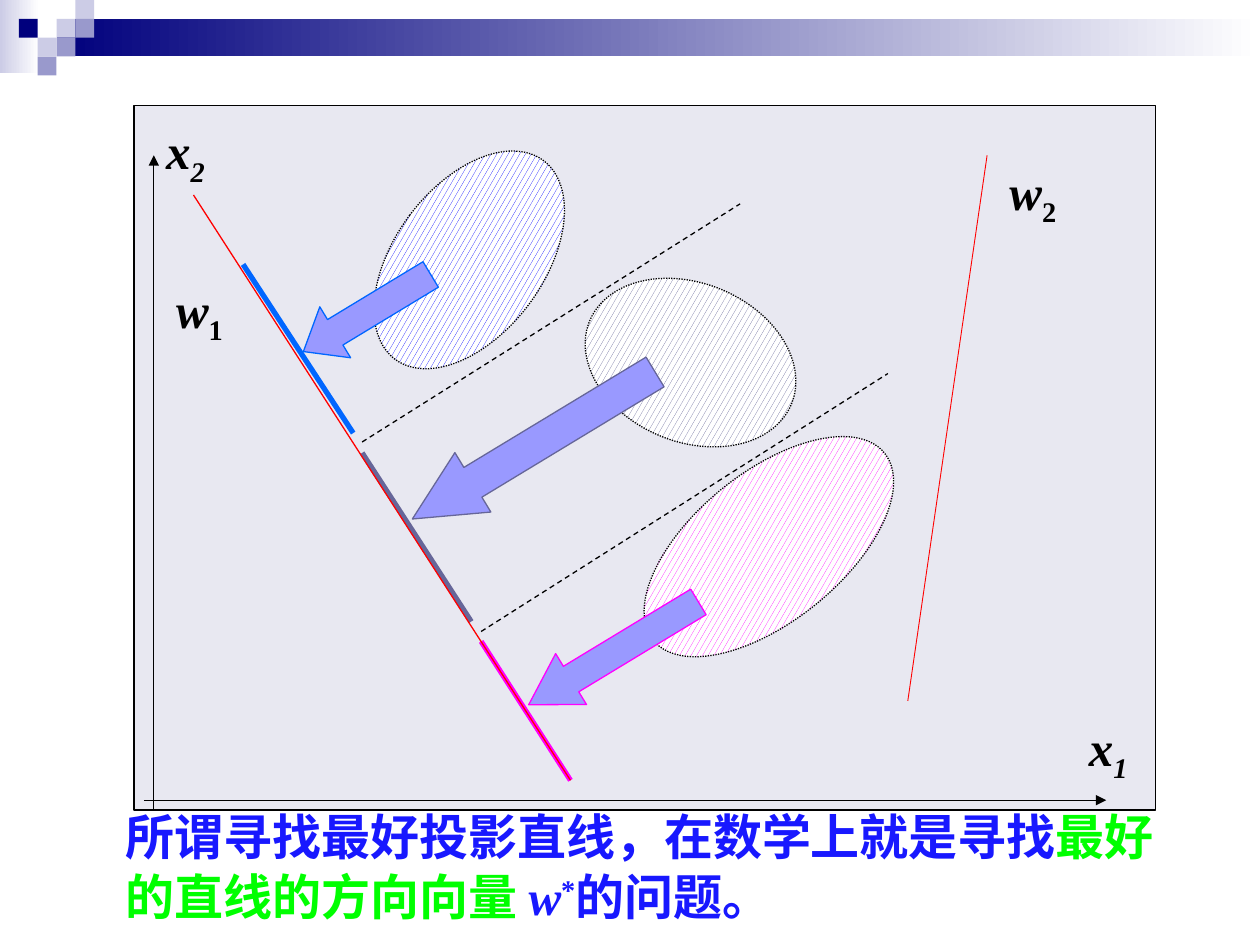
from lxml import etree
from pptx import Presentation
from pptx.dml.color import RGBColor
from pptx.enum.dml import MSO_LINE, MSO_PATTERN
from pptx.enum.shapes import MSO_CONNECTOR, MSO_SHAPE
from pptx.enum.text import MSO_AUTO_SIZE
from pptx.oxml.ns import qn
from pptx.util import Cm, Pt

RECT, OVAL, ARROW = MSO_SHAPE.RECTANGLE, MSO_SHAPE.OVAL, MSO_SHAPE.LEFT_ARROW
STRAIGHT = MSO_CONNECTOR.STRAIGHT
DASH, DOT = MSO_LINE.DASH, MSO_LINE.ROUND_DOT
CONFETTI = MSO_PATTERN.LARGE_CONFETTI
GROW = MSO_AUTO_SIZE.SHAPE_TO_FIT_TEXT
SERIF, HAN = "Times New Roman", "Noto Sans CJK SC"
BLACK, WHITE, RED = "000000", "FFFFFF", "FF0000"
NAVY, LILAC, MAUVE = "00007D", "CCCCE6", "9999CC"
SKY, SLATE, PINK = "0066FF", "666699", "FF00FF"
BLUE, GREEN = "1818FF", "00FF00"


def rgb(color):
    """Turn a hex string into a colour."""
    return RGBColor.from_string(color)


def add_shape(s, kind, x, y, w, h, fill=None, line=None, rotation=0):
    """Add a preset shape with a flat fill and an optional thin outline."""
    sp = s.shapes.add_shape(kind, Cm(x), Cm(y), Cm(w), Cm(h))
    sp.shadow.inherit = False
    sp.rotation = rotation
    if fill:
        sp.fill.solid()
        sp.fill.fore_color.rgb = rgb(fill)
    if line:
        sp.line.color.rgb = rgb(line)
        sp.line.width = Pt(0.75)
    else:
        sp.line.fill.background()
    return sp


def add_gradient(s, x, y, w, h, color):
    """Add a bar that fades to white from left to right."""
    sp = add_shape(s, RECT, x, y, w, h)
    sp.fill.gradient()
    sp.fill.gradient_angle = 0
    for stop, c in zip(sp.fill.gradient_stops, (color, WHITE)):
        stop.color.rgb = rgb(c)


def add_line(s, x1, y1, x2, y2, color, width=0.75, dash=None, arrow=False):
    """Add a straight line, dashed or with an arrowhead if asked."""
    cn = s.shapes.add_connector(STRAIGHT, Cm(x1), Cm(y1), Cm(x2), Cm(y2))
    cn.line.color.rgb = rgb(color)
    cn.line.width = Pt(width)
    if dash:
        cn.line.dash_style = dash
    if arrow:
        ln = cn.line._get_or_add_ln()
        etree.SubElement(ln, qn("a:tailEnd"), type="triangle")
    etree.SubElement(cn._element.spPr, qn("a:effectLst"))


def add_run(p, text, color=BLACK, font=SERIF, italic=False, baseline=0):
    """Add one bold run, raised or lowered by a baseline percentage."""
    r = p.add_run()
    r.text = text
    r.font.size = Pt(28)
    r.font.bold = True
    r.font.italic = italic
    r.font.name = font
    r.font.color.rgb = rgb(color)
    rPr = r._r.get_or_add_rPr()
    etree.SubElement(rPr, qn("a:ea"), typeface=HAN)
    if baseline:
        rPr.set("baseline", str(baseline * 1000))


def add_text(s, x, y, w, h, wrap):
    """Add a text box and return its first paragraph."""
    tf = s.shapes.add_textbox(Cm(x), Cm(y), Cm(w), Cm(h)).text_frame
    tf.word_wrap = wrap
    tf.auto_size = GROW
    return tf.paragraphs[0]


def add_label(s, x, y, w, letter, index, italic_index):
    """Add a variable name with its subscript."""
    p = add_text(s, x, y, w, 1.45, False)
    add_run(p, letter, italic=True)
    add_run(p, index, italic=italic_index, baseline=-25)


def add_header(s, x, y, w):
    """Draw the fading bar and its checkered squares."""
    unit = 0.38
    add_gradient(s, x, y, 0.79, 1.47, LILAC)
    add_gradient(s, x + 3 * unit, y + unit, w - 3 * unit, 2 * unit, NAVY)
    squares = [(3, 1, LILAC), (4, 0, LILAC), (4, 1, MAUVE), (2, 2, LILAC),
               (1, 1, NAVY), (3, 2, MAUVE), (2, 3, MAUVE)]
    for col, row, color in squares:
        add_shape(s, RECT, x + col * unit, y + row * unit, unit, unit, color)


def add_diagram(s, x, y, w, h):
    """Draw three clusters projected onto one of two directions."""
    add_shape(s, RECT, x, y, w, h, "E8E8F1", BLACK)
    clusters = [(5.26, 0.61, 3, 5, 36.8, "0000FF"),
                (9.02, 3.58, 4.4, 3.2, 22.3, SLATE),
                (9.8, 7.39, 6, 3, 321, PINK)]
    for dx, dy, cw, ch, rotation, color in clusters:
        sp = add_shape(s, OVAL, x + dx, y + dy, cw, ch, None, BLACK, rotation)
        sp.line.dash_style = DOT
        sp.fill.patterned()
        sp.fill.pattern = CONFETTI
        sp.fill.fore_color.rgb = rgb(color)
        sp.fill.back_color.rgb = rgb(WHITE)

    lines = [(0.2, 14, 19.6, 14, BLACK, 0.75, None, True),
             (0.4, h, 0.4, 1, BLACK, 0.75, None, True),
             (4.6, 6.78, 12.22, 1.98, BLACK, 0.75, DASH, False),
             (7, 10.6, 15.2, 5.4, BLACK, 0.75, DASH, False),
             (2.2, 3.2, 4.42, 6.6, SKY, 3, None, False),
             (4.6, 7, 6.8, 10.4, SLATE, 3, None, False),
             (7, 10.8, 8.8, 13.6, PINK, 3, None, False),
             (1.2, 1.8, 8.8, 13.6, RED, 0.75, None, False),
             (17.2, 1, 15.6, 12, RED, 0.5, None, False)]
    for x1, y1, x2, y2, *style in lines:
        add_line(s, x + x1, y + y1, x + x2, y + y2, *style)

    labels = [(19, 12.2, 1.35, "x", "1", True), (0.4, 0.18, 1.35, "x", "2", True),
              (0.6, 3.38, 1.5, "w", "1", False), (17.4, 1, 1.5, "w", "2", False)]
    for dx, dy, *label in labels:
        add_label(s, x + dx, y + dy, *label)

    arrows = [(3.2, 3.58, 3, 1.2, 0.625, SKY),
              (5.2, 6.15, 5.72, 1.4, 1.019, SLATE),
              (7.67, 10.44, 4, 1.2, 0.832, PINK)]
    for dx, dy, aw, ah, head, color in arrows:
        sp = add_shape(s, ARROW, x + dx, y + dy, aw, ah, "9999FF", color, 328.8)
        sp.adjustments[0] = 0.5
        sp.adjustments[1] = head


def add_caption(s, x, y, w, h):
    """Write the conclusion below the diagram."""
    p = add_text(s, x, y, w, h, True)
    p.line_spacing = Pt(34)
    add_run(p, "所谓寻找最好投影直线，在数学上就是寻找", BLUE, HAN)
    add_run(p, "最好的直线的方向向量 ", GREEN, HAN)
    add_run(p, "w", BLUE, italic=True)
    add_run(p, "*", BLUE, baseline=30)
    add_run(p, "的问题。", BLUE, HAN)


def main():
    """Build the slide and save it."""
    prs = Presentation()
    prs.slide_width, prs.slide_height = Cm(25.4), Cm(19.05)
    s = prs.slides.add_slide(prs.slide_layouts[6])
    add_header(s, 0, 0, 25.4)
    add_diagram(s, 2.7, 2.13, 20.6, 14.2)
    add_caption(s, 2.29, 16.13, 22, 2.64)
    prs.save("out.pptx")


if __name__ == "__main__":
    main()
